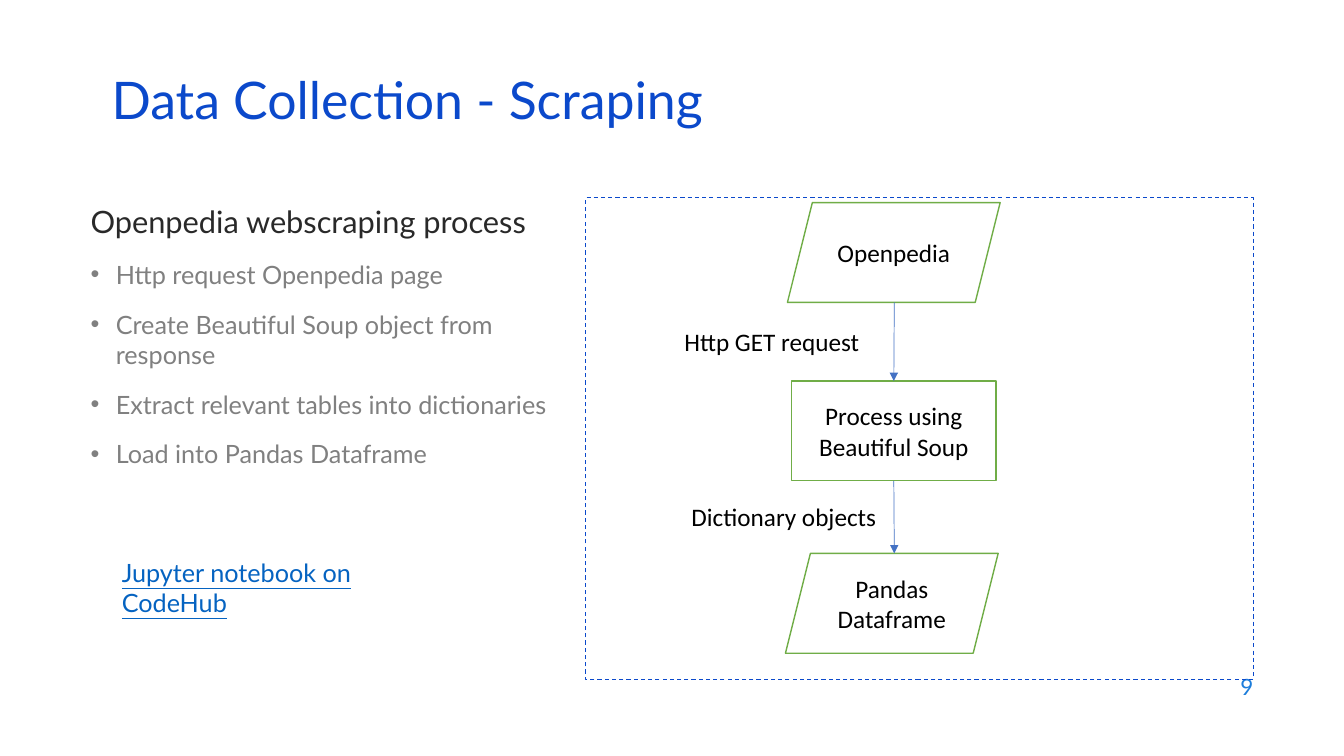
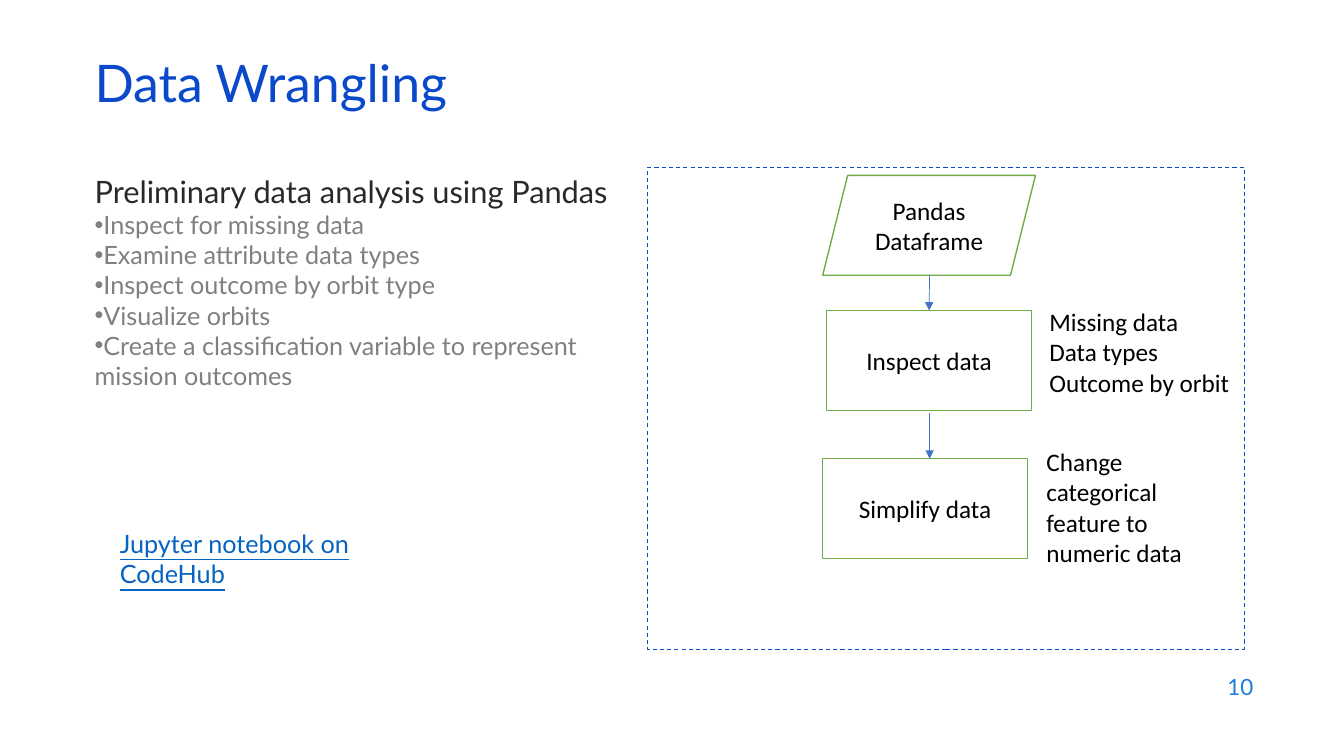
from lxml.etree import SubElement
from pptx import Presentation
from pptx.dml.color import RGBColor
from pptx.enum.dml import MSO_LINE
from pptx.enum.shapes import MSO_CONNECTOR, MSO_SHAPE
from pptx.enum.text import MSO_ANCHOR as Anchor, PP_ALIGN as Align
from pptx.oxml.ns import qn
from pptx.util import Inches, Pt

# Shared colours and text formats
BLUE, GREEN, ARROW, WHITE = "0B49CB", "70AD47", "4472C4", "FFFFFF"
TITLE = dict(name="Lato", size=37, color=BLUE)
HEADING = dict(name="Lato", size=22, color="292929")
BULLET = dict(name="Lato", size=18, color="808080")
LINK = dict(name="Lato", size=18, color="0563C1", underline=True)
NUMBER = dict(name="Lato", size=16, color="1C7DDB")
DIAGRAM = dict(name="Calibri", size=18, color="000000")

# Shared shapes and sizes
RECT, SLANT = MSO_SHAPE.RECTANGLE, MSO_SHAPE.PARALLELOGRAM
NODE_WIDTH = {RECT: 2.03, SLANT: 2.11}
NODE_HEIGHT = 0.99
TOP, BOTTOM = 0, 2


def rgb(value):
    return RGBColor.from_string(value)


def place(box):
    return [Inches(length) for length in box]


def add_span(para, text, style):
    span = para.add_run()
    span.text = text
    for key, value in style.items():
        if key == "color":
            span.font.color.rgb = rgb(value)
        else:
            setattr(span.font, key, Pt(value) if key == "size" else value)


def write(frame, lines, style, **layout):
    """Fill a frame with one paragraph for each line."""
    for index, line in enumerate(lines):
        para = frame.paragraphs[0] if index == 0 else frame.add_paragraph()
        for key, value in layout.items():
            setattr(para, key, value)
        add_span(para, line, style)


def add_text(slide, box, lines, style, anchor=Anchor.TOP, wrap=True, **layout):
    frame = slide.shapes.add_textbox(*place(box)).text_frame
    frame.word_wrap = wrap
    frame.vertical_anchor = anchor
    write(frame, lines, style, **layout)
    return frame


def add_outline(slide, kind, box, color, width):
    shape = slide.shapes.add_shape(kind, *place(box))
    shape.shadow.inherit = False
    shape.line.color.rgb = rgb(color)
    shape.line.width = Pt(width)
    return shape


def add_node(slide, kind, left, top, lines):
    box = (left, top, NODE_WIDTH[kind], NODE_HEIGHT)
    node = add_outline(slide, kind, box, GREEN, 1)
    node.fill.solid()
    node.fill.fore_color.rgb = rgb(WHITE)
    node.text_frame.word_wrap = True
    node.text_frame.vertical_anchor = Anchor.MIDDLE
    write(node.text_frame, lines, DIAGRAM, alignment=Align.CENTER)
    return node


def add_arrow(slide, x, start, end):
    arrow = slide.shapes.add_connector(
        MSO_CONNECTOR.STRAIGHT, *place((x, start, x, end)))
    arrow.line.color.rgb = rgb(ARROW)
    arrow.line.width = Pt(0.5)
    SubElement(arrow.line._get_or_add_ln(), qn("a:tailEnd"), type="triangle")
    SubElement(arrow._element.spPr, qn("a:effectLst"))
    return arrow


def add_frame_parts(slide, title, left, top, number):
    """Title and page number."""
    add_text(slide, (left, top, 11.5, 0.6), [title], TITLE, Anchor.MIDDLE,
             line_spacing=0.7)
    add_text(slide, (9.53, 6.59, 3, 0.44), [number], NUMBER, Anchor.MIDDLE,
             alignment=Align.RIGHT)


def add_summary(slide, box, heading, points, indent, gap):
    """Heading with a bulleted list under it."""
    frame = add_text(slide, box, [heading], HEADING)
    for point in points:
        para = frame.add_paragraph()
        props = para._p.get_or_add_pPr()
        props.set("marL", str(Inches(indent)))
        props.set("indent", str(-Inches(indent)))
        SubElement(props, qn("a:buFont"), typeface="Arial")
        SubElement(props, qn("a:buChar"), char="•")
        para.space_before = Pt(gap)
        add_span(para, point, BULLET)


def add_flow(slide, box, nodes, arrow_x, arrows, labels, wrap):
    """Dashed panel with a flow chart, placed from the panel's corner."""
    left, top = box[:2]
    add_outline(slide, RECT, box, BLUE, 0.75)
    panel = slide.shapes[-1]
    panel.fill.background()
    panel.line.dash_style = MSO_LINE.DASH

    steps = [add_node(slide, kind, left + x, top + y, lines)
             for kind, x, y, lines in nodes]
    for start, end, source, target in arrows:
        arrow = add_arrow(slide, left + arrow_x, top + start, top + end)
        if source is not None:
            arrow.begin_connect(steps[source], BOTTOM)
        if target is not None:
            arrow.end_connect(steps[target], TOP)
    for x, y, width, height, lines in labels:
        add_text(slide, (left + x, top + y, width, height), lines, DIAGRAM,
                 wrap=wrap)


def add_link(slide, box):
    add_text(slide, box, ["Jupyter notebook on CodeHub"], LINK, Anchor.MIDDLE)


def build_scraping(slide):
    add_frame_parts(slide, "Data Collection - Scraping", 1.01, 0.76, "9")
    add_summary(slide, (0.8, 1.96, 5.01, 3.26), "Openpedia webscraping process", [
        "Http request Openpedia page",
        "Create Beautiful Soup object from response",
        "Extract relevant tables into dictionaries",
        "Load into Pandas Dataframe",
    ], indent=0.25, gap=14)
    add_flow(
        slide, (5.81, 1.96, 6.62, 4.78),
        nodes=[(SLANT, 2, 0.05, ["Openpedia"]),
               (RECT, 2.04, 1.82, ["Process using", "Beautiful Soup"]),
               (SLANT, 1.98, 3.53, ["Pandas Dataframe"])],
        arrow_x=3.06,
        arrows=[(1.04, 1.82, None, 1), (2.81, 3.53, 1, None)],
        labels=[(0.88, 1.23, 1.96, 0.4, ["Http GET request"]),
                (0.95, 2.96, 2.05, 0.4, ["Dictionary objects"])],
        wrap=False)
    add_link(slide, (1.11, 5.46, 3.31, 0.73))


def build_wrangling(slide):
    add_frame_parts(slide, "Data Wrangling", 0.84, 0.59, "10")
    add_summary(slide, (0.84, 1.66, 5.58, 3.63),
                "Preliminary data analysis using Pandas", [
        "Inspect for missing data",
        "Examine attribute data types",
        "Inspect outcome by orbit type",
        "Visualize orbits",
        "Create a classification variable to represent mission outcomes",
    ], indent=0, gap=0)
    add_flow(
        slide, (6.42, 1.66, 5.92, 4.78),
        nodes=[(SLANT, 1.74, 0.08, ["Pandas Dataframe"]),
               (RECT, 1.78, 1.42, ["Inspect data"]),
               (RECT, 1.74, 2.89, ["Simplify data"])],
        arrow_x=2.8,
        arrows=[(1.07, 1.42, None, 1), (2.44, 2.89, None, None)],
        labels=[(3.89, 1.33, 2.03, 1.01,
                 ["Missing data", "Data types", "Outcome by orbit"]),
                (3.86, 2.72, 1.97, 1.31,
                 ["Change categorical feature to numeric data"])],
        wrap=True)
    add_link(slide, (1.09, 5.15, 3.28, 0.78))


def main():
    deck = Presentation()
    deck.slide_width, deck.slide_height = Inches(13.33), Inches(7.5)
    for build in (build_scraping, build_wrangling):
        build(deck.slides.add_slide(deck.slide_layouts[6]))
    deck.save("out.pptx")


if __name__ == "__main__":
    main()
